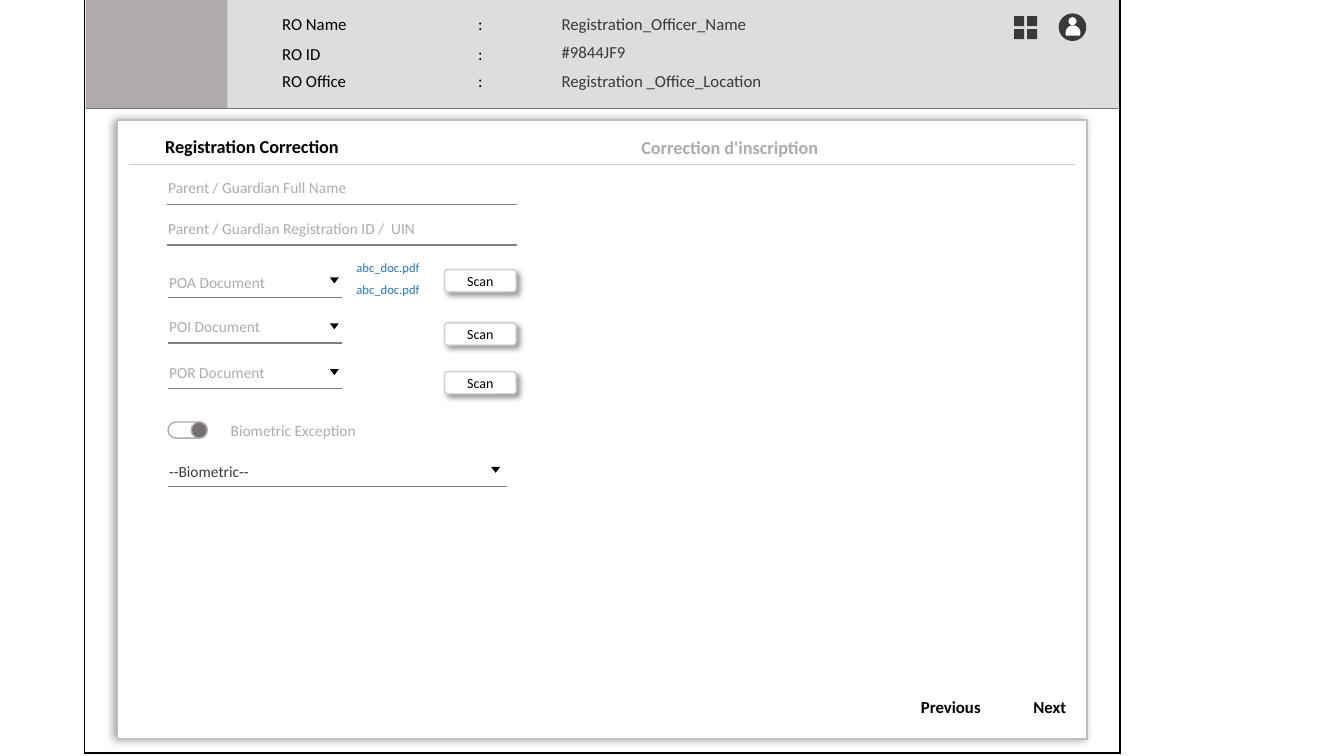
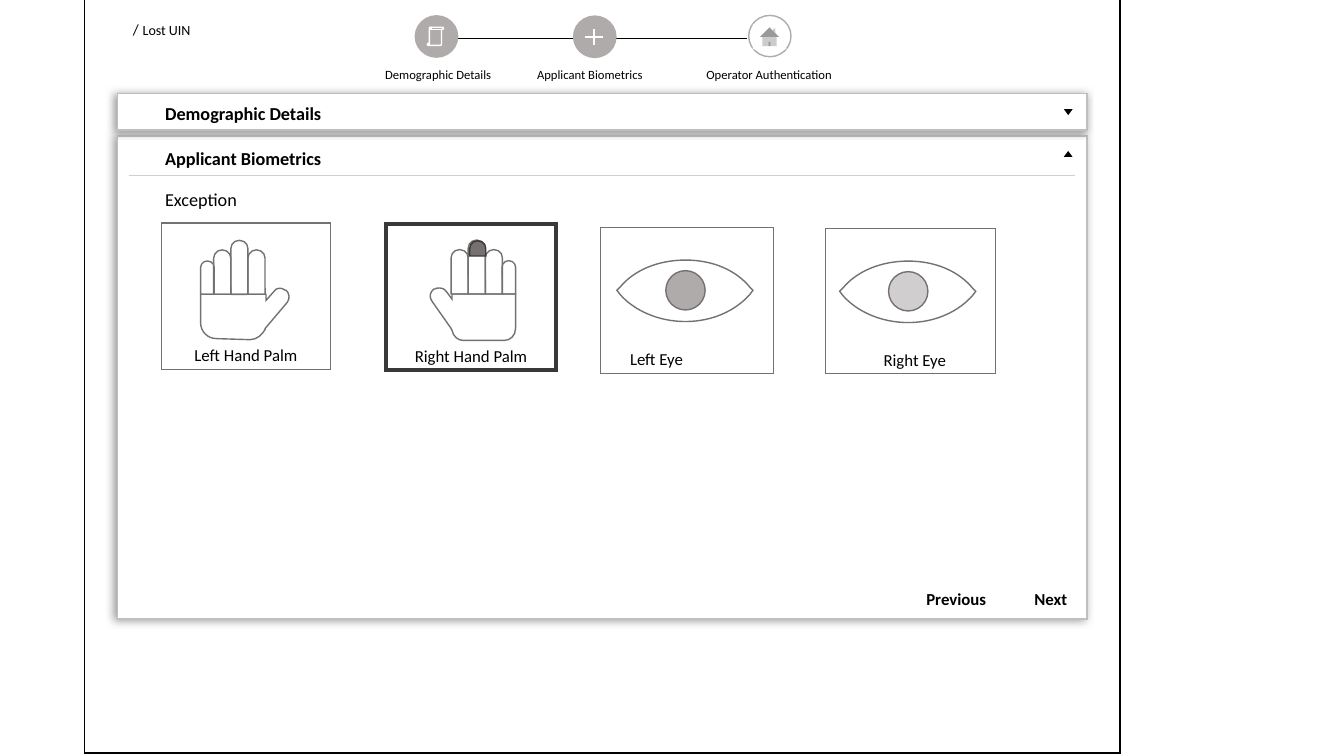
from dataclasses import dataclass
from typing import NamedTuple

from lxml.etree import SubElement
from pptx import Presentation
from pptx.dml.color import RGBColor
from pptx.enum.shapes import MSO_CONNECTOR, MSO_SHAPE
from pptx.enum.text import MSO_ANCHOR, MSO_AUTO_SIZE, PP_ALIGN
from pptx.oxml.ns import qn
from pptx.util import Emu, Inches, Pt

COLS, ROWS = 133.33, 75  # grid of square cells
CELL = Inches(0.1)


@dataclass(frozen=True)
class Theme:
    font: str = "Calibri"
    black: str = "000000"
    white: str = "FFFFFF"
    dark: str = "3B3838"
    mid: str = "767171"
    muted: str = "AFABAB"
    pale: str = "D0CECE"
    band: str = "DDDDDD"
    rule: str = "808080"
    edge: str = "BFBFBF"
    link: str = "2E75B6"
    title: int = 13
    body: int = 12
    field: int = 11
    button: int = 10
    small: int = 9


class Box(NamedTuple):
    """Left, top, width and height in grid cells."""
    x: float
    y: float
    w: float
    h: float


class Shadow(NamedTuple):
    color: str
    alpha: int
    blur: int
    dist: int
    angle: int


class Card(NamedTuple):
    box: Box
    label: str
    label_x: float
    color: str
    width: float


class Step(NamedTuple):
    label: str
    label_x: float
    label_w: float
    circle: Box
    fill: str


class Eye(NamedTuple):
    x: float
    y: float
    iris: str


class Hand(NamedTuple):
    """Outer palm edge, knuckle line, direction of the thumb, palm outline."""
    x: float
    y: float
    side: int
    palm: list


T = Theme()
PANEL_SHADOW = Shadow(T.rule, 80, 6, 2, 170)
BUTTON_SHADOW = Shadow(T.black, 40, 4, 3, 45)
PANEL_X, PANEL_W = 11.65, 96.2
TITLE_X = 15.4
FINGERS = [(0, 1.35, 3.3), (1.3, 1.7, 4.4), (3, 1.7, 5.35), (4.7, 1.7, 4.4)]
# Outlines: pairs are points, sixes are cubic curves.
LEFT_PALM = [(7.8, -0.6), (8, -0.6, 8.2, -0.6, 8.4, -0.4), (8.5, -0.4),
             (8.8, -0.1, 8.9, 0.4, 8.6, 0.8), (6.4, 3.4), (6.4, 3.5),
             (6.1, 4, 5.6, 4.5, 4.9, 4.5), (1.6, 4.4), (0.7, 4.4, 0, 3.7, 0, 2.8),
             (0, 0), (6.5, 0), (6.5, 0.6), (7.3, -0.3), (7.4, -0.5, 7.6, -0.6, 7.8, -0.6)]
RIGHT_PALM = [(7.5, -0.6), (7.3, -0.6, 7, -0.5, 6.9, -0.3), (6.3, 0.5), (6.3, 0), (0, 0),
              (0, 3.4), (0, 4.1, 0.5, 4.6, 1.1, 4.6), (5.2, 4.6),
              (5.7, 4.6, 6.2, 4.2, 6.3, 3.6), (6.4, 3.4), (8.3, 0.7),
              (8.6, 0.3, 8.5, -0.2, 8.1, -0.5), (8, -0.5), (7.9, -0.6, 7.7, -0.6, 7.5, -0.6)]
EYELIDS = [(6.8, -3), (9.5, -3, 11.8, -2, 13.2, -0.3), (13.5, 0), (13.2, 0.4),
           (11.8, 2, 9.5, 3.1, 6.8, 3.1), (4.1, 3.1, 1.7, 2, 0.3, 0.4), (0, 0),
           (0.3, -0.3), (1.7, -2, 4.1, -3, 6.8, -3)]


def emu(cells: float) -> Emu:
    return Emu(round(cells * CELL))


def rgb(color: str) -> RGBColor:
    return RGBColor.from_string(color)


def paint(sp, fill: str = "", line: str = "", width: float = 1):
    sp.shadow.inherit = False
    if fill:
        sp.fill.solid()
        sp.fill.fore_color.rgb = rgb(fill)
    else:
        sp.fill.background()
    if line:
        sp.line.color.rgb = rgb(line)
        sp.line.width = Pt(width)
        SubElement(sp._element.spPr.find(qn("a:ln")), qn("a:miter"), lim="800000")
    else:
        sp.line.fill.background()
    return sp


def add_shape(s, kind, box: Box, fill: str = "", line: str = "",
              width: float = 1, rot: float = 0, adj: tuple = ()):
    sp = s.shapes.add_shape(kind, *map(emu, box))
    for i, value in enumerate(adj):
        sp.adjustments[i] = value
    sp.rotation = rot
    return paint(sp, fill, line, width)


def cast(sp, shadow: Shadow) -> None:
    effects = sp._element.spPr.find(qn("a:effectLst"))
    outer = SubElement(effects, qn("a:outerShdw"), blurRad=str(Pt(shadow.blur)),
                       dist=str(Pt(shadow.dist)), dir=str(shadow.angle * 60000),
                       algn="ctr", rotWithShape="0")
    color = SubElement(outer, qn("a:srgbClr"), val=shadow.color)
    SubElement(color, qn("a:alpha"), val=str(shadow.alpha * 1000))


def add_rule(s, x1: float, x2: float, y: float, color: str, width: float) -> None:
    c = s.shapes.add_connector(MSO_CONNECTOR.STRAIGHT, emu(x1), emu(y), emu(x2), emu(y))
    c.line.color.rgb = rgb(color)
    c.line.width = Pt(width)
    SubElement(c._element.spPr, qn("a:effectLst"))


def style(r, size: float, color: str, bold: bool = False) -> None:
    r.font.name, r.font.size, r.font.bold = T.font, Pt(size), bold
    r.font.color.rgb = rgb(color)


def add_text(s, box: Box, text: str, size: float, color: str = T.black,
             bold: bool = False, wrap: bool = False, center: bool = False,
             tabs: tuple = ()):
    tf = s.shapes.add_textbox(*map(emu, box)).text_frame
    tf.word_wrap = wrap
    tf.auto_size = MSO_AUTO_SIZE.SHAPE_TO_FIT_TEXT
    p = tf.paragraphs[0]
    p.text = text
    p.alignment = PP_ALIGN.CENTER if center else PP_ALIGN.LEFT
    if tabs:
        stops = SubElement(p._p.get_or_add_pPr(), qn("a:tabLst"))
        for tab in tabs:
            SubElement(stops, qn("a:tab"), pos=str(emu(tab)), algn="l")
    style(p.runs[0], size, color, bold)
    return p


def add_title(s, y: float, text: str, x: float = TITLE_X, color: str = T.black,
              bold: bool = True) -> None:
    add_text(s, Box(x, y, 26.7, 3.2), text, T.title, color, bold, wrap=True)


def add_panel(s, y: float, h: float) -> None:
    sp = add_shape(s, MSO_SHAPE.ROUNDED_RECTANGLE, Box(PANEL_X, y, PANEL_W, h),
                   T.white, T.edge, adj=(0,))
    cast(sp, PANEL_SHADOW)


def add_frame(s) -> None:
    add_shape(s, MSO_SHAPE.RECTANGLE, Box(8.4, -0.2, 102.7, 74.93), line=T.black)


def add_title_rule(s, y: float) -> None:
    add_rule(s, 12.8, 106.65, y, T.pale, 0.5)


def add_arrow(s, x: float, y: float, up: bool = False) -> None:
    add_shape(s, MSO_SHAPE.ISOSCELES_TRIANGLE, Box(x, y, 0.6, 0.4), T.black, T.black,
              rot=0 if up else 180)


def add_navigation(s, y: float, previous_x: float, next_x: float) -> None:
    for x, w, text in [(previous_x, 8, "Previous"), (next_x, 5.3, "Next")]:
        add_text(s, Box(x, y, w, 3), text, T.body, bold=True, center=True)


def add_outline(s, segments: list, x: float, y: float, side: int = 1) -> None:
    """Draw an outline relative to (x, y); side -1 mirrors it."""
    spans = [[(emu(x + side * px), emu(y + py)) for px, py in zip(seg[::2], seg[1::2])]
             for seg in segments]
    fb = s.shapes.build_freeform(*spans[0][0])
    fb.add_line_segments([span[-1] for span in spans[1:]], close=True)
    sp = paint(fb.convert_to_shape(), line=T.mid)
    lines = list(sp._element.spPr.iter(qn("a:lnTo")))
    for line, span in zip(lines, spans[1:]):
        if len(span) == 3:
            line.tag = qn("a:cubicBezTo")
            line.remove(line[0])
            for px, py in span:
                SubElement(line, qn("a:pt"), x=str(px - sp.left), y=str(py - sp.top))


def add_hand(s, hand: Hand) -> None:
    for dx, w, h in FINGERS:
        left = hand.x + dx if hand.side > 0 else hand.x - dx - w
        add_shape(s, MSO_SHAPE.ROUND_2_SAME_RECTANGLE, Box(left, hand.y - h, w, h),
                  line=T.mid, adj=(0.478, 0.033))
    add_outline(s, hand.palm, hand.x, hand.y, hand.side)


def add_eye(s, eye: Eye) -> None:
    add_outline(s, EYELIDS, eye.x, eye.y)
    add_shape(s, MSO_SHAPE.OVAL, Box(eye.x + 4.85, eye.y - 1.95, 3.9, 3.9), eye.iris, T.mid)


def add_header(s) -> None:
    add_shape(s, MSO_SHAPE.RECTANGLE, Box(8.6, -0.1, 102.4, 10.9), T.band)
    add_shape(s, MSO_SHAPE.RECTANGLE, Box(8.5, -0.2, 14.07, 11), T.muted)
    add_rule(s, 8.5, 111.2, 10.8, T.mid, 0.5)
    for label, label_y, value, y, w in [
            ("RO Name", 0.9, "Registration_Officer_Name", 0.9, 20.6),
            ("RO ID", 3.8, "#9844JF9", 3.65, 8.5),
            ("RO Office", 6.5, "Registration _Office_Location", 6.5, 22.1)]:
        add_text(s, Box(27, label_y, 22.1, 3), f"{label}\t\t:", T.body, tabs=(10, 19.45))
        add_text(s, Box(54.73, y, w, 3), value, T.body, T.dark)
    add_shape(s, MSO_SHAPE.OVAL, Box(105.1, 1.4, 2.6, 2.6), T.dark, T.dark)
    add_shape(s, MSO_SHAPE.OVAL, Box(106, 1.7, 0.8, 0.8), T.white)
    add_shape(s, MSO_SHAPE.CHORD, Box(105.7, 2.5, 1.5, 1.5), T.white, rot=111.5)
    for i in range(4):
        add_shape(s, MSO_SHAPE.RECTANGLE,
                  Box(100.6 + 1.3 * (i % 2), 1.6 + 1.3 * (i // 2), 1, 1), T.dark)


def correction_slide(s) -> None:
    add_header(s)
    add_panel(s, 11.9, 61.4)
    add_frame(s)
    add_title(s, 12.95, "Registration Correction")
    add_title(s, 13, "Correction d'inscription", x=62.65, color=T.muted)
    add_title_rule(s, 16.35)
    for y, w, text in [(17.2, 19.9, "Parent / Guardian Full Name"),
                       (21.2, 26.8, "Parent / Guardian Registration ID /  UIN")]:
        add_text(s, Box(15.7, y, w, 2.9), text, T.field, T.muted)
        add_rule(s, 16.6, 51.3, y + 3.1, T.rule, 1)
    for text, w, y, arrow_y, rule_y, scan_y in [
            ("POA Document", 11.6, 26.6, 27.6, 29.5, 26.75),
            ("POI Document", 11.1, 31, 32.15, 34.03, 32.03),
            ("POR Document", 11.5, 35.5, 36.7, 38.55, 36.87)]:
        add_text(s, Box(15.8, y, w, 2.9), text, T.field, T.muted)
        add_arrow(s, 32.87, arrow_y)
        add_rule(s, 16.7, 33.95, rule_y, T.rule, 1)
        sp = add_shape(s, MSO_SHAPE.ROUNDED_RECTANGLE, Box(44.1, scan_y, 7.1, 2.2),
                       T.white, T.pale, adj=(0.135,))
        cast(sp, BUTTON_SHADOW)
        tf = sp.text_frame
        tf.text = "Scan"
        tf.vertical_anchor = MSO_ANCHOR.MIDDLE
        tf.paragraphs[0].alignment = PP_ALIGN.CENTER
        style(tf.paragraphs[0].runs[0], T.button, T.black)
    for y in (25.3, 27.5):
        add_text(s, Box(34.37, y, 8.9, 2.5), "abc_doc.pdf", T.small, T.link)
    add_shape(s, MSO_SHAPE.ROUNDED_RECTANGLE, Box(16.67, 41.87, 3.9, 1.6), T.white, T.muted,
              adj=(0.5,))
    add_shape(s, MSO_SHAPE.OVAL, Box(18.97, 41.87, 1.6, 1.6), T.mid, T.muted)
    add_text(s, Box(21.9, 41.3, 14.5, 2.9), "Biometric Exception", T.field, T.muted)
    add_text(s, Box(15.8, 45.35, 10, 2.9), "--Biometric--", T.field, T.dark)
    add_arrow(s, 48.87, 46.4)
    add_rule(s, 16.7, 50.3, 48.25, T.rule, 1)
    add_navigation(s, 68.65, 90.33, 101.5)


def add_steps(s) -> None:
    for x1, x2 in [(45.4, 56.9), (61.1, 74.1)]:
        add_rule(s, x1, x2, 3.8, T.black, 0.5)
    for step in [
            Step("Demographic Details", 37.23, 13.1, Box(41.2, 1.57, 4.2, 4.1), T.muted),
            Step("Applicant Biometrics", 52.3, 13.3, Box(56.9, 1.6, 4.2, 4.1), T.muted),
            Step("Operator Authentication", 69.1, 14.6, Box(74.27, 1.53, 4.2, 4.1), T.white)]:
        add_shape(s, MSO_SHAPE.OVAL, step.circle, step.fill, T.muted)
        add_text(s, Box(step.label_x, 6.17, step.label_w, 2.5), step.label, T.small, wrap=True)
    add_shape(s, MSO_SHAPE.VERTICAL_SCROLL, Box(42.4, 2.7, 1.6, 1.8), T.muted, T.white)
    add_shape(s, MSO_SHAPE.MATH_PLUS, Box(57.8, 2.7, 2.3, 1.9), T.white, T.white, adj=(0.042,))
    add_shape(s, MSO_SHAPE.ACTION_BUTTON_HOME, Box(74.7, 2.4, 3.3, 2.5), T.white)


def biometrics_slide(s) -> None:
    add_panel(s, 13.5, 47.9)
    add_panel(s, 9.3, 3.6)
    add_frame(s)
    p = add_text(s, Box(12.2, 1.4, 7.8, 3), "/", T.field)
    for text, size in [(" ", T.body), ("Lost UIN", T.button)]:
        r = p.add_run()
        r.text = text
        style(r, size, T.black)
    add_steps(s)
    add_title(s, 9.7, "Demographic Details")
    add_arrow(s, 105.67, 10.9)
    add_title(s, 14.1, "Applicant Biometrics")
    add_arrow(s, 105.67, 15.1, up=True)
    add_title_rule(s, 17.4)
    add_title(s, 18.2, "Exception", bold=False)
    add_hand(s, Hand(19.9, 29.2, 1, LEFT_PALM))
    add_hand(s, Hand(51.15, 29.17, -1, RIGHT_PALM))
    add_shape(s, MSO_SHAPE.ROUND_2_SAME_RECTANGLE, Box(46.6, 23.9, 1.6, 1.5),
              T.mid, T.dark, adj=(0.5, 0))
    add_eye(s, Eye(61.2, 28.8, T.muted))
    add_eye(s, Eye(83.3, 28.9, T.pale))
    for card in [
            Card(Box(16, 22.13, 16.8, 14.5), "Left Hand Palm", 16, T.mid, 1),
            Card(Box(38.33, 22.2, 16.8, 14.5), "Right Hand Palm", 38.33, T.dark, 3),
            Card(Box(59.6, 22.55, 17.15, 14.5), "Left Eye", 56.73, T.mid, 1),
            Card(Box(81.9, 22.65, 16.83, 14.45), "Right Eye", 82.35, T.mid, 0.75)]:
        add_shape(s, MSO_SHAPE.FLOWCHART_PROCESS, card.box, line=card.color, width=card.width)
        add_text(s, Box(card.label_x, card.box.y + 11.56, 16.8, 3), card.label, T.body,
                 wrap=True, center=True)
    add_navigation(s, 57.9, 90.87, 101.6)


def main() -> None:
    prs = Presentation()
    prs.slide_width, prs.slide_height = emu(COLS), emu(ROWS)
    for build in (correction_slide, biometrics_slide):
        build(prs.slides.add_slide(prs.slide_layouts[6]))
    prs.save("out.pptx")


if __name__ == "__main__":
    main()
